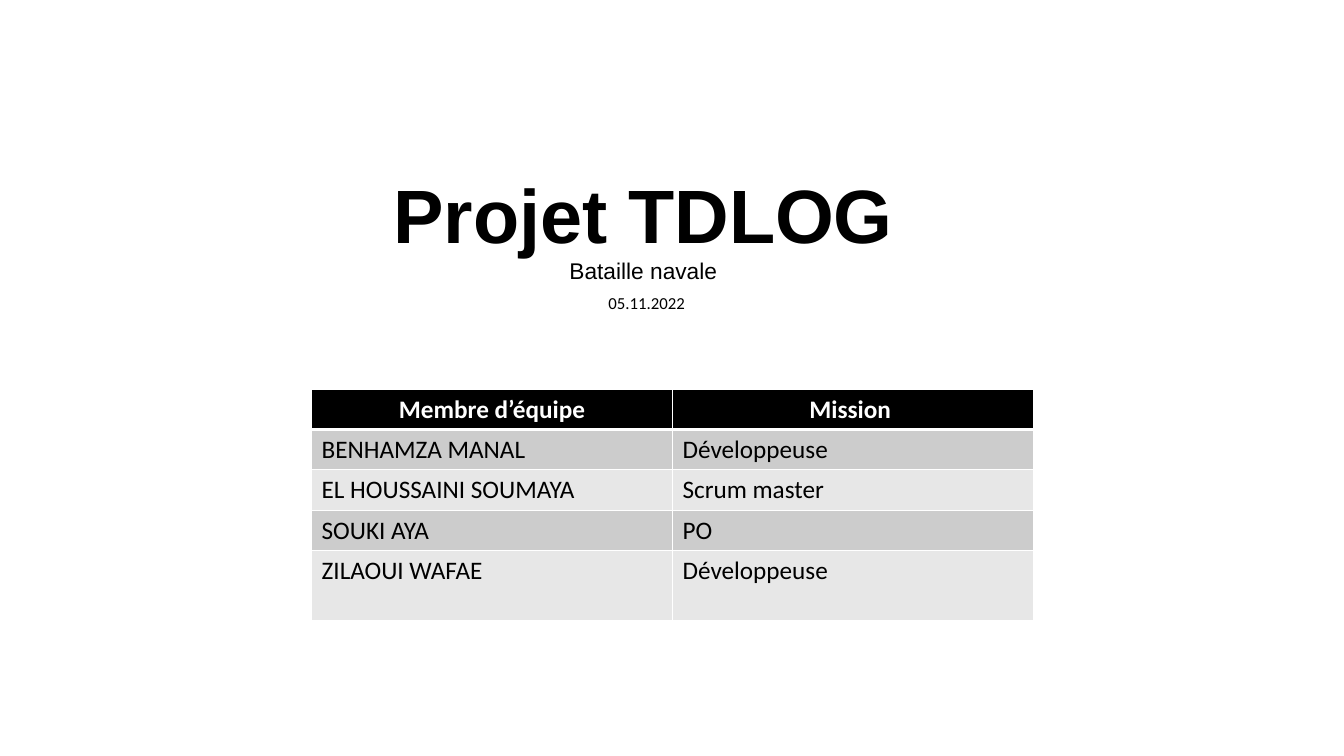
from lxml import etree
from pptx import Presentation
from pptx.dml.color import RGBColor
from pptx.enum.text import MSO_ANCHOR, PP_ALIGN
from pptx.oxml.ns import qn
from pptx.util import Inches, Pt

CENTER = PP_ALIGN.CENTER
LEFT = PP_ALIGN.LEFT
BOTTOM = MSO_ANCHOR.BOTTOM
TOP = MSO_ANCHOR.TOP

BLACK = RGBColor(0, 0, 0)
WHITE = RGBColor(255, 255, 255)
DARK = RGBColor(0xCC, 0xCC, 0xCC)
LIGHT = RGBColor(0xE7, 0xE7, 0xE7)

TEAM = [
    ("Membre d’équipe", "Mission "),
    ("BENHAMZA MANAL", "Développeuse"),
    ("EL HOUSSAINI SOUMAYA", "Scrum master"),
    ("SOUKI AYA", "PO"),
    ("ZILAOUI WAFAE ", "Développeuse"),
]
ROWS = [0.4, 0.4, 0.4, 0.4, 0.7]


def write(para, text, size=18, font="Calibri", color=BLACK, bold=False, align=CENTER):
    para.alignment = align
    run = para.add_run()
    run.text = text
    run.font.size = Pt(size)
    run.font.name = font
    run.font.color.rgb = color
    run.font.bold = bold


def add_box(slide, left, top, width, height, anchor=TOP):
    box = slide.shapes.add_textbox(*map(Inches, (left, top, width, height)))
    frame = box.text_frame
    frame.word_wrap = True
    frame.vertical_anchor = anchor
    return frame.paragraphs[0]


def add_edge(cell, side, width):
    props = cell._tc.get_or_add_tcPr()
    line = etree.SubElement(props, qn(f"a:{side}"), w=str(Pt(width)))
    fill = etree.SubElement(line, qn("a:solidFill"))
    etree.SubElement(fill, qn("a:srgbClr"), val=str(WHITE))


def add_cell(cell, text, row):
    head = row == 0
    for side in ("lnL", "lnR", "lnT", "lnB"):
        thick = (head and side == "lnB") or (row == 1 and side == "lnT")
        add_edge(cell, side, 3 if thick else 1)
    cell.fill.solid()
    cell.fill.fore_color.rgb = BLACK if head else DARK if row % 2 else LIGHT
    write(cell.text_frame.paragraphs[0], text, bold=head,
          color=WHITE if head else BLACK, align=CENTER if head else LEFT)


def add_team(slide):
    area = map(Inches, (3.09, 3.86, 7.16, sum(ROWS)))
    table = slide.shapes.add_table(len(TEAM), 2, *area).table
    for col in table.columns:
        col.width = Inches(3.58)
    for row, (height, texts) in enumerate(zip(ROWS, TEAM)):
        table.rows[row].height = Inches(height)
        for col, text in enumerate(texts):
            add_cell(table.cell(row, col), text, row)


def main():
    deck = Presentation()
    deck.slide_width = Inches(13.33)
    deck.slide_height = Inches(7.5)
    slide = deck.slides.add_slide(deck.slide_layouts[6])

    title = add_box(slide, 0.63, 1.85, 11.5, 1.02, anchor=BOTTOM)
    title.line_spacing = 0.9
    write(title, "Projet TDLOG", size=54, font="Arial", bold=True)
    title.add_line_break()
    write(title, "Bataille navale", size=16.2, font="Arial")

    date = add_box(slide, 5.63, 2.86, 1.57, 0.3)
    write(date, "05.11.2022", size=12)

    add_team(slide)
    deck.save("out.pptx")


main()
